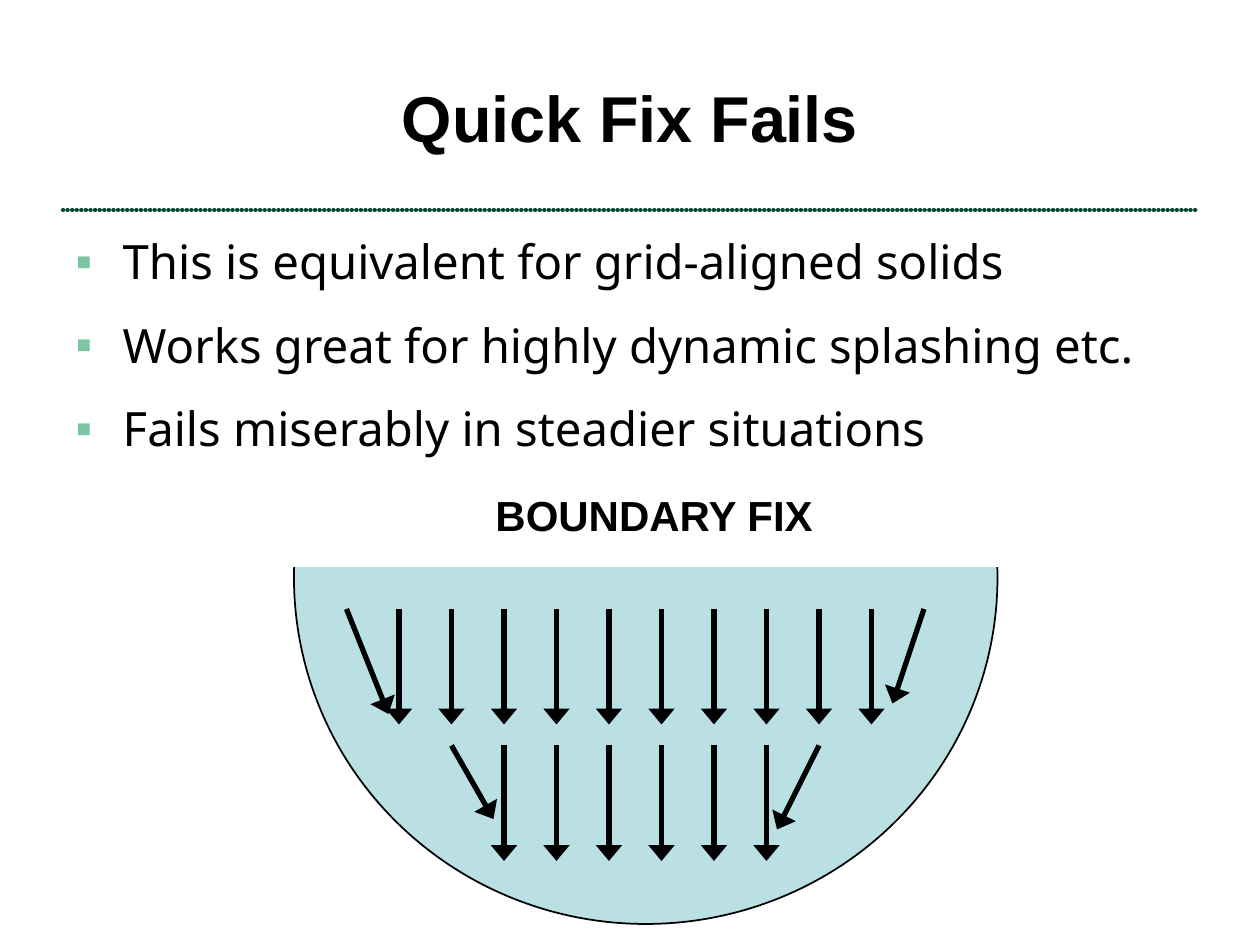
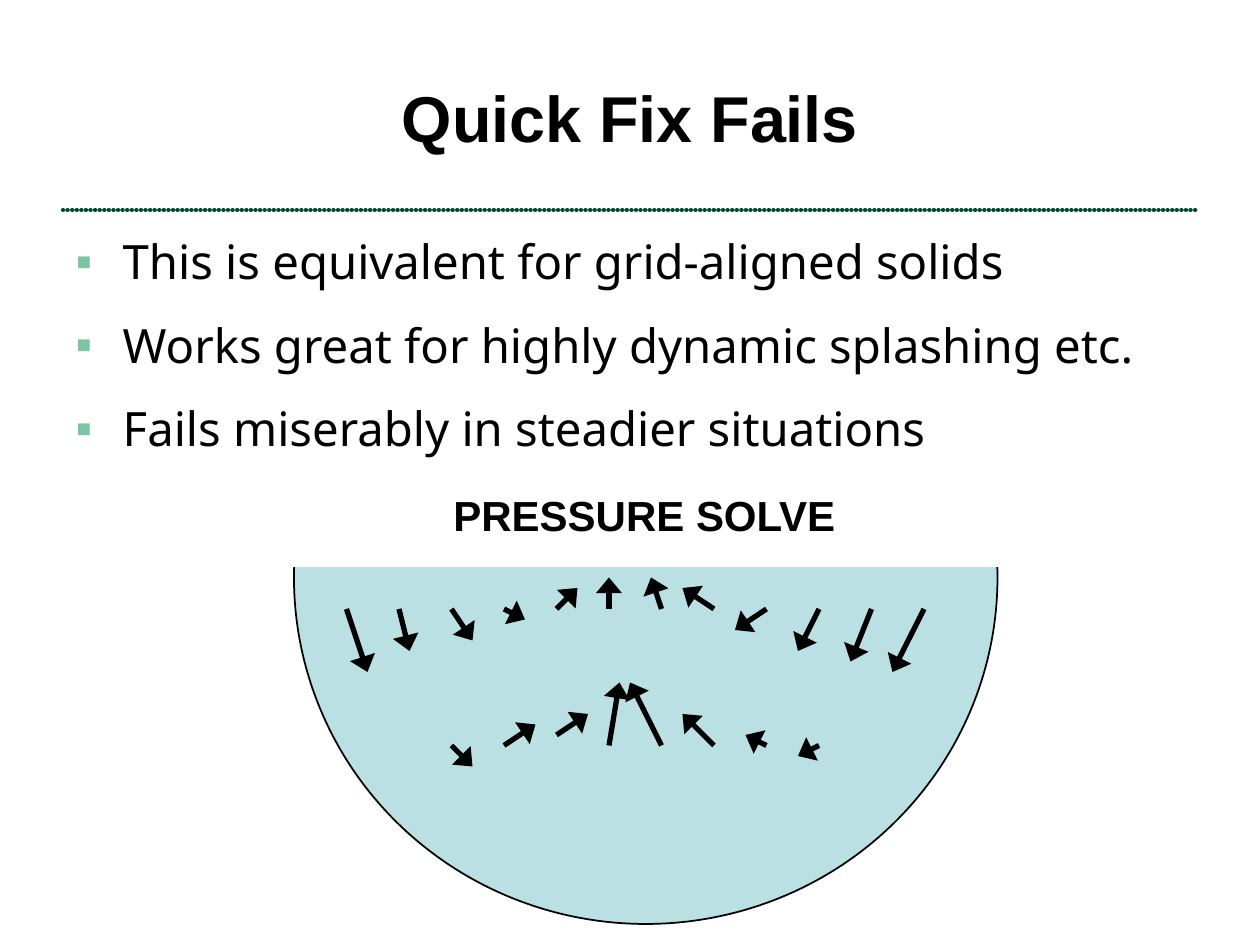
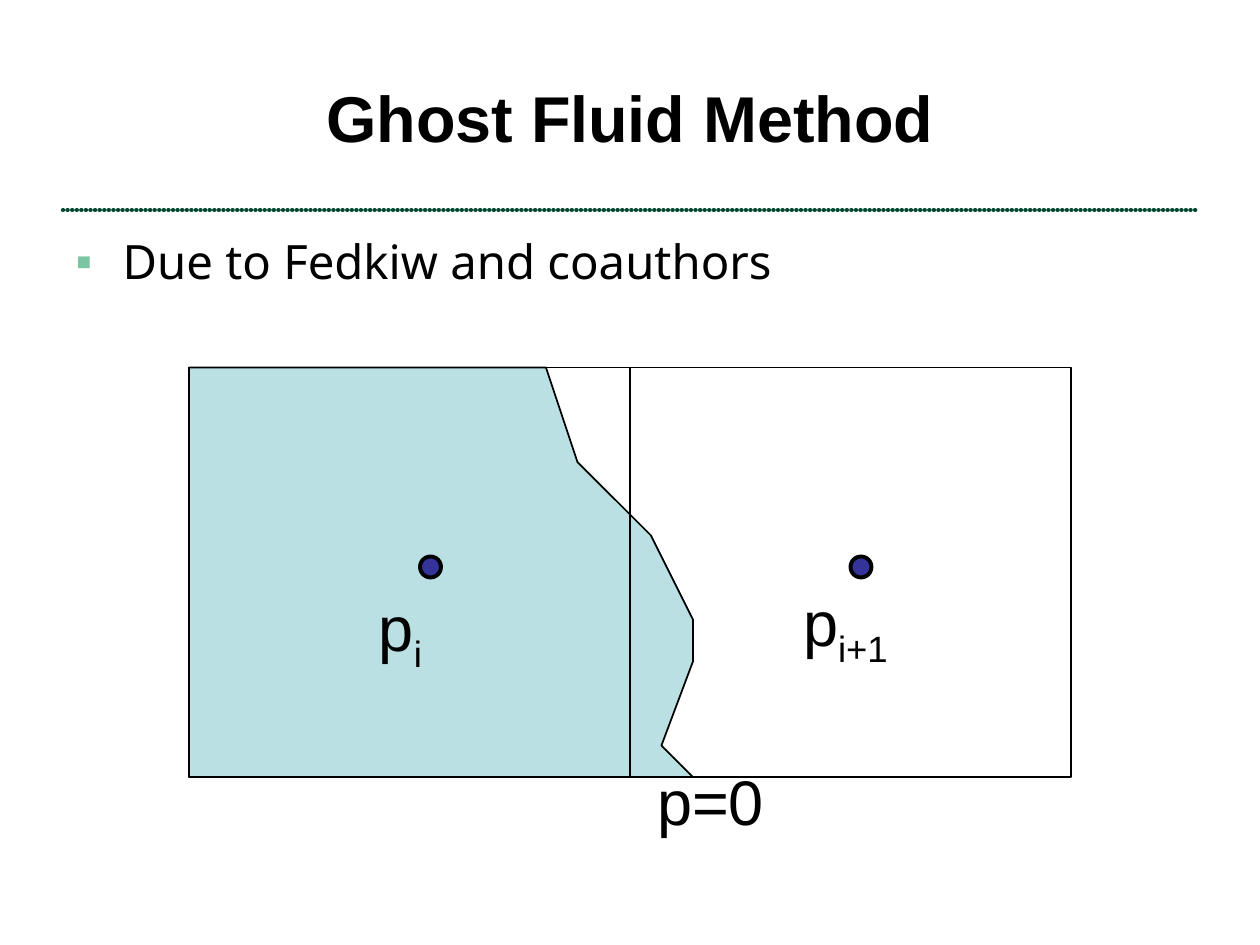
from typing import NamedTuple

from lxml.etree import SubElement
from pptx import Presentation
from pptx.dml.color import RGBColor
from pptx.enum.shapes import MSO_CONNECTOR, MSO_SHAPE
from pptx.enum.text import MSO_ANCHOR, MSO_AUTO_SIZE as AUTO, PP_ALIGN
from pptx.oxml.ns import qn
from pptx.util import Cm, Pt

BLACK, WHITE, WATER = "000000", "FFFFFF", "BBE0E3"
RULE_GREEN, BULLET_GREEN, DOT_BLUE = "004731", "7BC5A2", "333399"
HEAD_FONT, BODY_FONT = "Arial", "Noto Sans"
QUICK_FIX_POINTS = [
    "This is equivalent for grid-aligned solids",
    "Works great for highly dynamic splashing etc.",
    "Fails miserably in steadier situations",
]


class Box(NamedTuple):
    """Left, top, width and height in grid units."""
    x: float
    y: float
    w: float
    h: float


class Arrow(NamedTuple):
    """Velocity at a grid point; lift raises its start."""
    dx: float
    dy: float
    lift: float = 0


class ArrowRow(NamedTuple):
    x: float
    y: float
    arrows: list[Arrow]


class Label(NamedTuple):
    box: Box
    text: str
    sub: str = ""
    size: float = 36
    bold: bool = False


def unit(n: float) -> Cm:
    """All drawings sit on a grid of twelve units to the inch."""
    return Cm(n * 2.54 / 12)


def rgb(color: str) -> RGBColor:
    return RGBColor.from_string(color)


def place(s, box: Box) -> None:
    s.left, s.top, s.width, s.height = map(unit, box)


def add_run(p, text: str, *, size: float, font: str = HEAD_FONT,
            bold: bool = False, baseline: int = 0) -> None:
    r = p.add_run()
    r.text = text
    f = r.font
    f.name, f.size, f.bold = font, Pt(size), bold
    f.color.rgb = rgb(BLACK)
    if baseline:
        r._r.get_or_add_rPr().set("baseline", str(baseline * 1000))


def style_shape(s, fill: str | None, line: str | None, width: float) -> None:
    s.shadow.inherit = False
    if fill:
        s.fill.solid()
        s.fill.fore_color.rgb = rgb(fill)
    else:
        s.fill.background()
    if line:
        s.line.color.rgb = rgb(line)
        s.line.width = Pt(width)
    else:
        s.line.fill.background()


def add_shape(slide, kind: MSO_SHAPE, box: Box, fill: str | None = None,
              line: str | None = BLACK, width: float = 1) -> None:
    s = slide.shapes.add_shape(kind, *map(unit, box))
    style_shape(s, fill, line, width)


def add_line(slide, x1: float, y1: float, x2: float, y2: float,
             color: str = BLACK, width: float = 3):
    c = slide.shapes.add_connector(MSO_CONNECTOR.STRAIGHT, *map(unit, (x1, y1, x2, y2)))
    c.line.color.rgb = rgb(color)
    c.line.width = Pt(width)
    SubElement(c._element.spPr, qn("a:effectLst"))
    return c


def add_arrows(slide, row: ArrowRow) -> None:
    for i, a in enumerate(row.arrows):
        x, y = row.x + 5 * i, row.y - a.lift
        c = add_line(slide, x, y, x + a.dx, y + a.dy)
        SubElement(c.line._get_or_add_ln(), qn("a:tailEnd"),
                   type="triangle", w="lg", len="med")


def add_label(slide, label: Label) -> None:
    tf = slide.shapes.add_textbox(*map(unit, label.box)).text_frame
    tf.word_wrap = False
    tf.auto_size = AUTO.SHAPE_TO_FIT_TEXT
    p = tf.paragraphs[0]
    add_run(p, label.text, size=label.size, bold=label.bold)
    if label.sub:
        add_run(p, label.sub, size=label.size, baseline=-25)


def add_bullet(p) -> None:
    pPr = p._p.get_or_add_pPr()
    pPr.set("marL", str(Cm(0.95)))
    pPr.set("indent", str(-Cm(0.95)))
    SubElement(SubElement(pPr, qn("a:buClr")), qn("a:srgbClr"), val=BULLET_GREEN)
    SubElement(pPr, qn("a:buFont"), typeface=HEAD_FONT)
    SubElement(pPr, qn("a:buChar"), char="▪")


def new_slide(prs):
    """Start a slide with the rule of close round dots under its title."""
    slide = prs.slides.add_slide(prs.slide_layouts[1])
    ln = add_line(slide, 6, 20, 114, 20, RULE_GREEN, 2.5).line._get_or_add_ln()
    ln.set("cap", "rnd")
    SubElement(SubElement(ln, qn("a:custDash")), qn("a:ds"), d="100000", sp="5000")
    return slide


def write_text(slide, title: str, points: list[str]) -> None:
    """Fill the placeholders and bring them in front of the backdrop."""
    head, body = slide.placeholders
    for s, box, anchor in ((head, Box(6, 3.6, 108, 15), MSO_ANCHOR.MIDDLE),
                           (body, Box(6, 21, 108, 67), MSO_ANCHOR.TOP)):
        place(s, box)
        s.text_frame.vertical_anchor = anchor
        s.text_frame.auto_size = AUTO.NONE
        slide.shapes._spTree.append(s._element)

    p = head.text_frame.paragraphs[0]
    p.alignment = PP_ALIGN.CENTER
    add_run(p, title, size=37, bold=True)

    tf = body.text_frame
    for i, point in enumerate(points):
        p = tf.add_paragraph() if i else tf.paragraphs[0]
        p.line_spacing = 1.1
        p.space_before, p.space_after = Pt(6 if i else 0), Pt(6)
        add_bullet(p)
        add_run(p, point, size=27, font=BODY_FONT)


def quick_fix_slide(prs, label: Label, rows: list[ArrowRow]) -> None:
    slide = new_slide(prs)
    # Bowl of water, its top hidden by a white cover
    add_shape(slide, MSO_SHAPE.OVAL, Box(28, 22.04, 67, 65.96), WATER)
    add_shape(slide, MSO_SHAPE.RECTANGLE, Box(17, 21, 86, 33), WHITE, line=None)
    write_text(slide, "Quick Fix Fails", QUICK_FIX_POINTS)
    for row in rows:
        add_arrows(slide, row)
    add_label(slide, label)


def ghost_fluid_slide(prs) -> None:
    slide = new_slide(prs)
    # Fluid region
    outline = [(52, 35), (55, 44), (59, 48), (62, 51), (66, 59),
               (66, 63), (63, 71), (66, 74), (18, 74)]
    builder = slide.shapes.build_freeform(18, 35, scale=unit(1))
    builder.add_line_segments(outline, close=True)
    style_shape(builder.convert_to_shape(), WATER, BLACK, 1)

    write_text(slide, "Ghost Fluid Method", ["Due to Fedkiw and coauthors"])

    # Two grid cells and their pressure samples
    for x in (18, 60):
        add_shape(slide, MSO_SHAPE.RECTANGLE, Box(x, 35, 42, 39))
    for x in (40, 81):
        add_shape(slide, MSO_SHAPE.OVAL, Box(x, 53, 2, 2), DOT_BLUE, width=2.25)
    for label in (Label(Box(34.9, 55.5, 6.6, 9.5), "p", "i"),
                  Label(Box(75.3, 55, 11, 9.5), "p", "i+1"),
                  Label(Box(61.4, 72, 12.7, 8.4), "p=0")):
        add_label(slide, label)


def main() -> None:
    prs = Presentation()
    prs.slide_width, prs.slide_height = Cm(25.4), Cm(19.05)

    down = Arrow(0, 11)
    quick_fix_slide(
        prs, Label(Box(46, 46, 32.8, 6), "BOUNDARY FIX", size=24, bold=True),
        [ArrowRow(33, 58, [Arrow(4, 10), *[down] * 10, Arrow(-3, 9)]),
         ArrowRow(43, 71, [Arrow(4, 7), *[down] * 6, Arrow(-4, 8)])])

    quick_fix_slide(
        prs, Label(Box(42, 46, 39, 6), "PRESSURE SOLVE", size=24, bold=True),
        [ArrowRow(33, 58, [
            Arrow(2, 6), Arrow(1, 4), Arrow(2, 3), Arrow(2, 1),
            Arrow(2, -2), Arrow(0, -3), Arrow(-1, -3), Arrow(-3, -2),
            Arrow(-3, 2), Arrow(-2, 4), Arrow(-2, 5), Arrow(-3, 6)]),
         ArrowRow(43, 71, [
             Arrow(2, 2), Arrow(3, -2), Arrow(3, -2, lift=1), Arrow(1, -6),
             Arrow(-3, -6), Arrow(-3, -3), Arrow(-2, -1), Arrow(-2, 1)])])

    ghost_fluid_slide(prs)
    prs.save("out.pptx")


if __name__ == "__main__":
    main()
